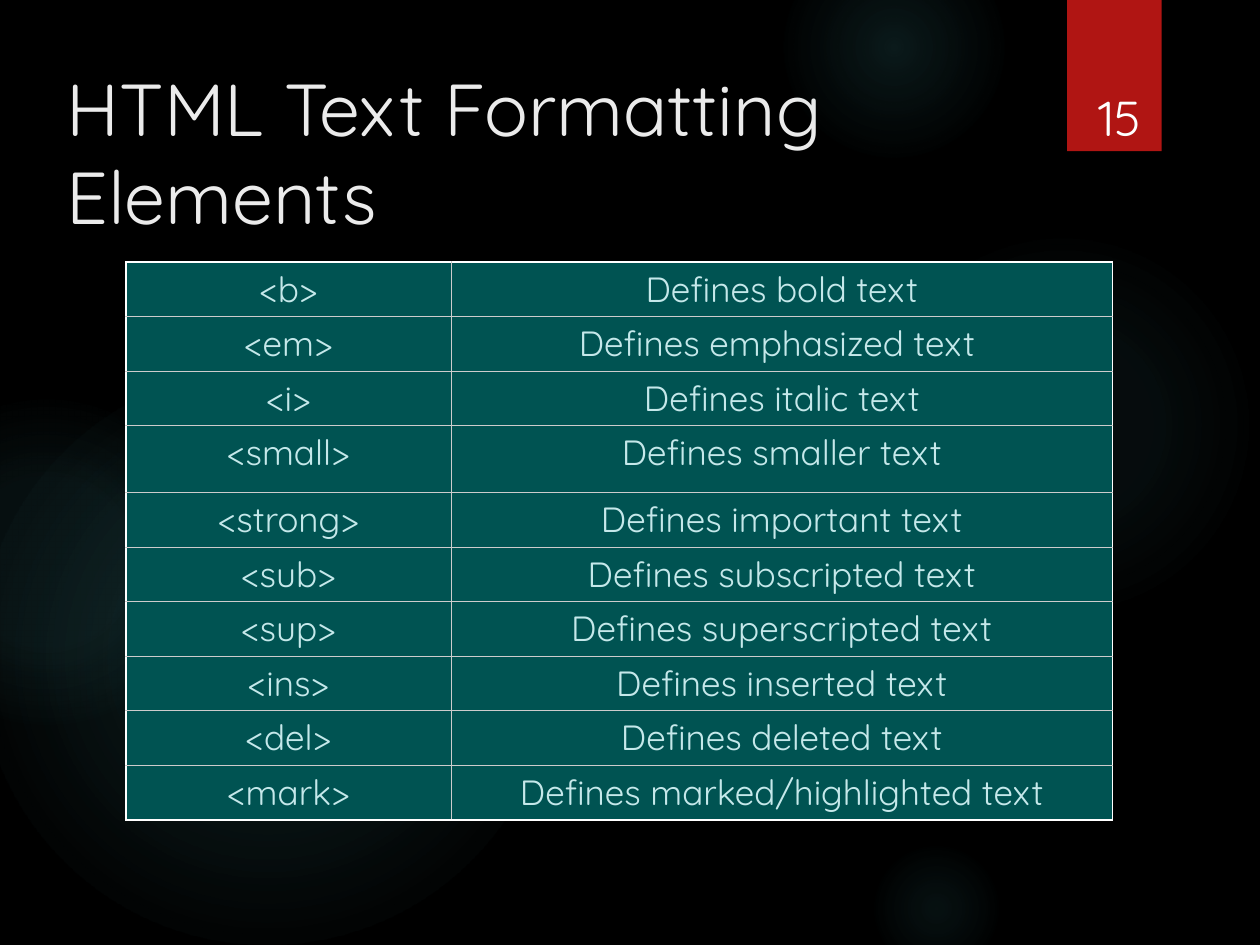
"""Builds the slide that lists the HTML text formatting elements."""
from lxml import etree
from pptx import Presentation
from pptx.dml.color import RGBColor
from pptx.enum import shapes, text
from pptx.oxml import ns, parse_xml
from pptx.util import Inches, Pt

BLACK = RGBColor(0x00, 0x00, 0x00)
WHITE = RGBColor(0xFF, 0xFF, 0xFF)
OFF_WHITE = RGBColor(0xEB, 0xEB, 0xEB)
GRID = RGBColor(0xCC, 0xCC, 0xCC)
RED = RGBColor(0xB0, 0x15, 0x13)
TEAL = RGBColor(0x00, 0x53, 0x52)
PALE = RGBColor(0xC5, 0xE8, 0xEA)
GLOW = RGBColor(0x50, 0xB9, 0xC1)

GLOWS = [
    (6.89, 1.83, 3.08, [(0, 7), (36, 6), (69, 0)]),
    (6.22, -0.5, 1.75, [(0, 14), (36, 7), (73, 0)]),
    (6.89, 6.67, 1.08, [(0, 9), (36, 5), (66, 0)]),
    (-0.17, 2.92, 4.58, [(0, 11), (36, 10), (75, 0)]),
    (-0.92, 3.17, 2.58, [(0, 8), (36, 8), (72, 0)]),
]
ELEMENTS = [
    ("<b>", "Defines bold text"),
    ("<em>", "Defines emphasized text\u00a0"),
    ("<i>", "Defines italic text"),
    ("<small>", "Defines smaller text"),
    ("<strong>", "Defines important text"),
    ("<sub>", "Defines subscripted text"),
    ("<sup>", "Defines superscripted text"),
    ("<ins>", "Defines inserted text"),
    ("<del>", "Defines deleted text"),
    ("<mark>", "Defines marked/highlighted text"),
]
TALL_ROW = 3


def assign(target, values):
    """Set each named attribute of the target."""
    for name, value in values.items():
        setattr(target, name, value)


def drawing(tag, body, **attributes):
    """Return a DrawingML element with the given inner XML."""
    listed = "".join(f' {name}="{value}"' for name, value in attributes.items())
    return parse_xml(f'<a:{tag} {ns.nsdecls("a")}{listed}>{body}</a:{tag}>')


class Deck:
    """Holds the style and the current slide."""

    font = "Quicksand"
    title_size, number_size, cell_size = 42, 28, 20

    def __init__(self, width, height):
        """Start a presentation of the given size in inches."""
        self.presentation = Presentation()
        assign(self.presentation, {"slide_width": Inches(width), "slide_height": Inches(height)})
        self.slide = None

    def add_slide(self, background):
        """Add a title-only slide with a plain background."""
        self.slide = self.presentation.slides.add_slide(self.presentation.slide_layouts[5])
        self.slide.background.fill.solid()
        self.slide.background.fill.fore_color.rgb = background

    def paragraph(self, frame, words, size, color, align, inset=0):
        """Put one styled paragraph into a text frame and return it."""
        sides = ("left", "top", "right", "bottom")
        assign(frame, {f"margin_{side}": Inches(inset) for side in sides})
        frame.word_wrap = True
        line = frame.paragraphs[0]
        line.alignment = align
        run = line.add_run()
        run.text = words
        assign(run.font, {"name": self.font, "size": Pt(size)})
        run.font.color.rgb = color
        return line

    def shape(self, kind, left, top, width, height):
        """Add a preset shape without a line or shadow."""
        box = map(Inches, (left, top, width, height))
        added = self.slide.shapes.add_shape(kind, *box)
        added.line.fill.background()
        added.shadow.inherit = False
        return added

    def glow(self, left, top, size, stops):
        """Add a circle that fades out from its centre."""
        circle = self.shape(shapes.MSO_SHAPE.OVAL, left, top, size, size)
        marks = "".join(
            f'<a:gs pos="{place * 1000}"><a:srgbClr val="{GLOW}">'
            f'<a:alpha val="{opacity * 1000}"/></a:srgbClr></a:gs>'
            for place, opacity in stops)
        fade = drawing("gradFill", f'<a:gsLst>{marks}</a:gsLst><a:path path="circle">'
                       '<a:fillToRect l="50000" t="50000" r="50000" b="50000"/></a:path>')
        circle.element.spPr.find(ns.qn("a:prstGeom")).addnext(fade)

    def ribbon(self, left, top, width, height):
        """Add the red page marker with its soft shadow."""
        marker = self.shape(shapes.MSO_SHAPE.RECTANGLE, left, top, width, height)
        marker.fill.solid()
        marker.fill.fore_color.rgb = RED
        effects = marker.element.spPr.find(ns.qn("a:effectLst"))
        effects.append(drawing(
            "outerShdw", f'<a:srgbClr val="{BLACK}"><a:alpha val="45000"/></a:srgbClr>',
            blurRad=Pt(3), dist=Pt(2), dir=90 * 60000, rotWithShape=0))

    def title(self, words, left, top, width, height):
        """Place and fill the title placeholder."""
        heading = self.slide.shapes.title
        assign(heading, {"left": Inches(left), "top": Inches(top),
                         "width": Inches(width), "height": Inches(height)})
        assign(heading.text_frame, {"auto_size": text.MSO_AUTO_SIZE.NONE,
                                    "vertical_anchor": text.MSO_ANCHOR.TOP})
        self.paragraph(heading.text_frame, words, self.title_size, OFF_WHITE, text.PP_ALIGN.LEFT)

    def page_number(self, words, left, top, width, height):
        """Add the page number, resting on the bottom of its box."""
        number = self.slide.shapes.add_textbox(*map(Inches, (left, top, width, height)))
        number.text_frame.vertical_anchor = text.MSO_ANCHOR.BOTTOM
        line = self.paragraph(number.text_frame, words, self.number_size, WHITE,
                              text.PP_ALIGN.CENTER)
        line.line_spacing = Pt(11.4)
        properties = line._p.get_or_add_pPr()
        properties.set("marL", str(Inches(0.11)))
        properties.set("indent", "0")

    def border(self, cell, outer):
        """Draw white outer and grey inner cell borders."""
        properties = cell._tc.get_or_add_tcPr()
        for place, side in enumerate("LRTB"):
            color, weight = (WHITE, 1) if side in outer else (GRID, 0.75)
            edge = drawing(f"ln{side}", "", w=Pt(weight))
            fill = etree.SubElement(edge, ns.qn("a:solidFill"))
            etree.SubElement(fill, ns.qn("a:srgbClr"), val=str(color))
            properties.insert(place, edge)

    def table(self, rows, left, top, widths, heights):
        """Add a table with centred text on a teal ground."""
        box = map(Inches, (left, top, sum(widths), sum(heights)))
        grid = self.slide.shapes.add_table(len(rows), len(widths), *box).table
        assign(grid, {"first_row": False, "horz_banding": False})
        for column, width in zip(grid.columns, widths):
            column.width = Inches(width)
        for r, (entries, height) in enumerate(zip(rows, heights)):
            grid.rows[r].height = Inches(height)
            for c, words in enumerate(entries):
                cell = grid.cell(r, c)
                assign(cell, {f"margin_{side}": Inches(0.04)
                              for side in ("left", "top", "right", "bottom")})
                cell.fill.solid()
                cell.fill.fore_color.rgb = TEAL
                self.paragraph(cell.text_frame, words, self.cell_size, PALE,
                               text.PP_ALIGN.CENTER, 0.04)
                outer = {"L": c == 0, "R": c == len(widths) - 1,
                         "T": r == 0, "B": r == len(rows) - 1}
                self.border(cell, [side for side, is_outer in outer.items() if is_outer])


deck = Deck(10, 7.5)
deck.add_slide(BLACK)
for glow in GLOWS:
    deck.glow(*glow)
deck.ribbon(8.47, 0, 0.75, 1.2)
deck.title("HTML Text Formatting Elements", 0.53, 0.5, 7.72, 1.53)
deck.page_number("15", 8.49, 0.32, 0.69, 0.84)
row_height = (4.43 - 0.53) / (len(ELEMENTS) - 1)
row_heights = [0.53 if r == TALL_ROW else row_height for r in range(len(ELEMENTS))]
deck.table(ELEMENTS, 1, 2.08, [2.58, 5.25], row_heights)
deck.presentation.save("out.pptx")
